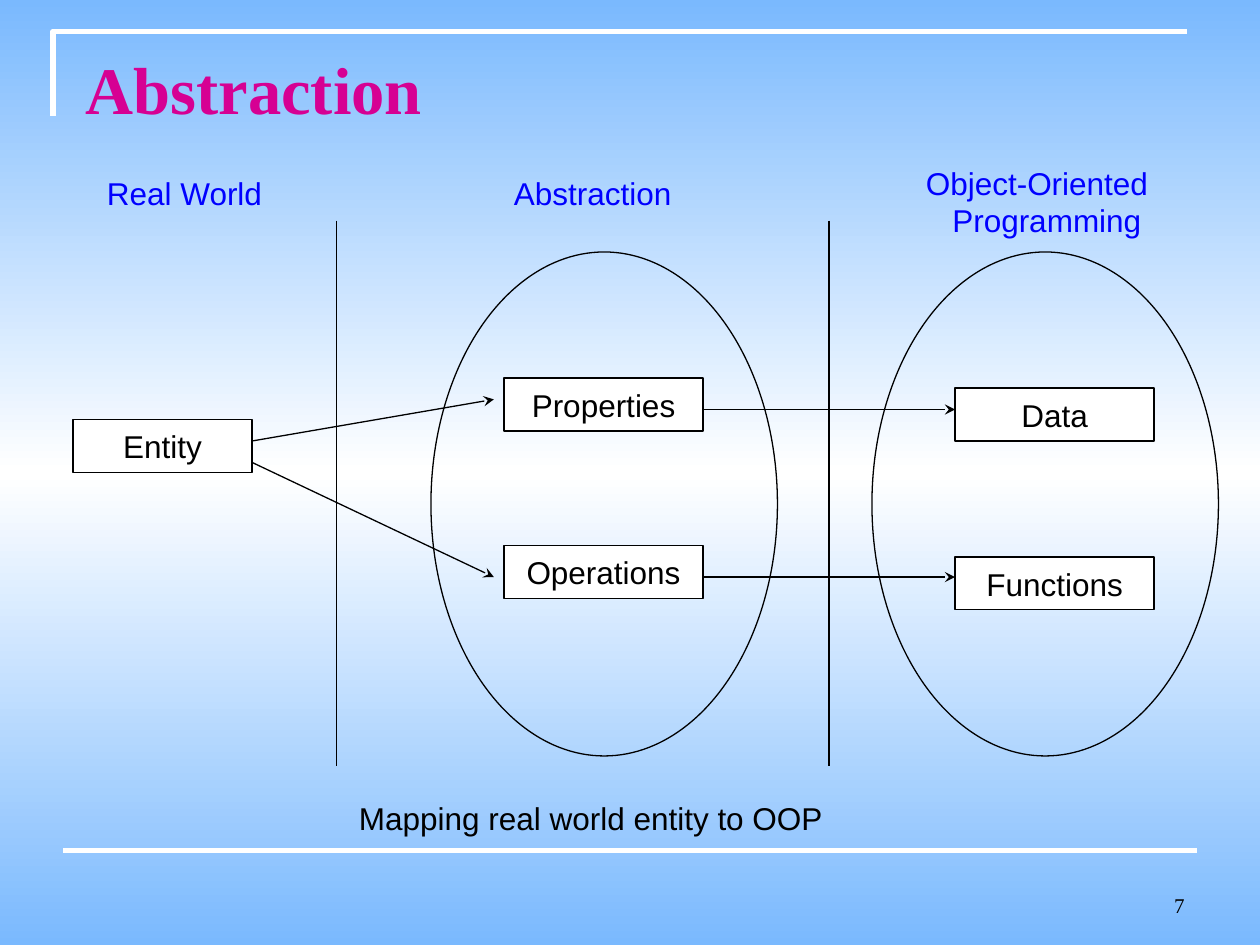
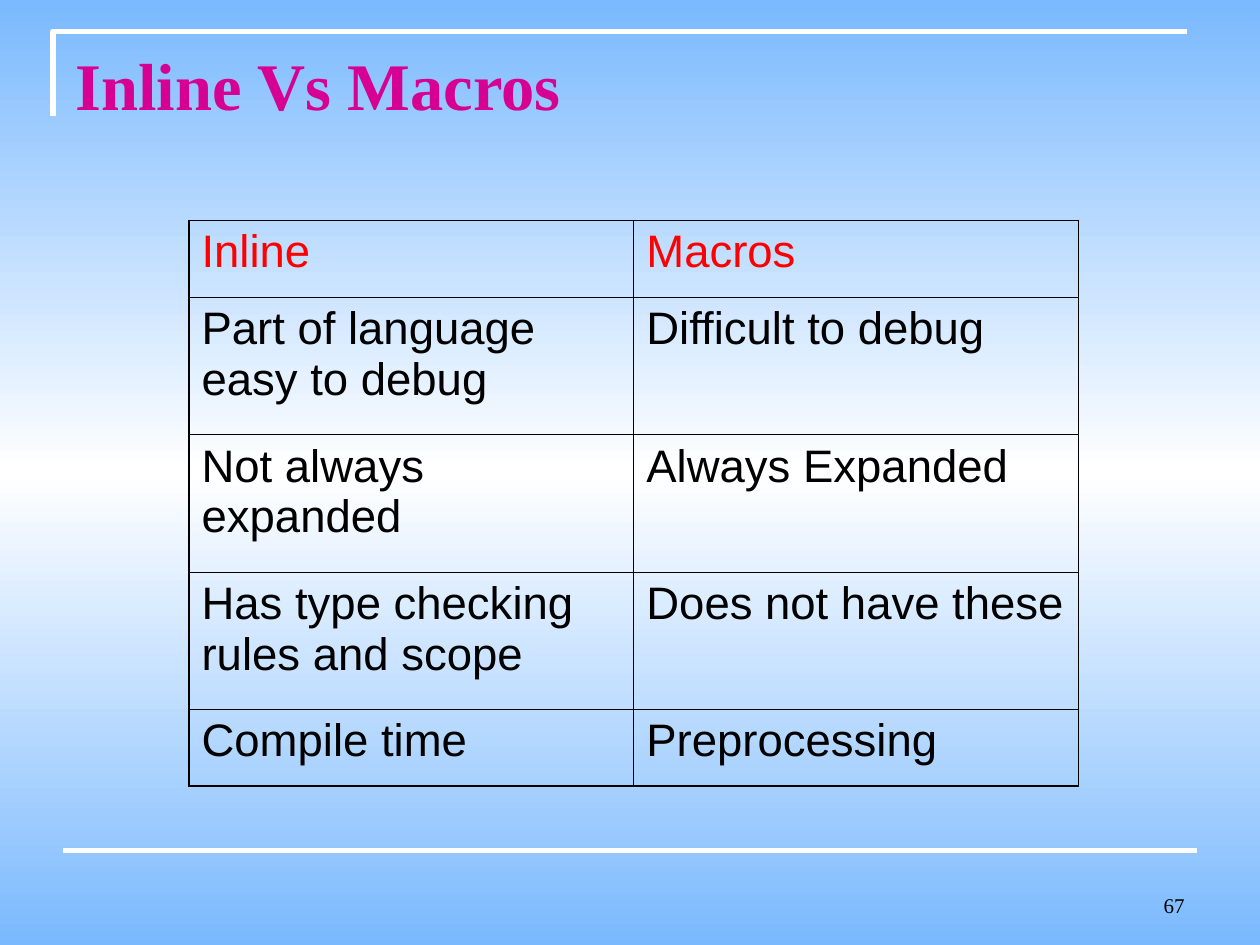
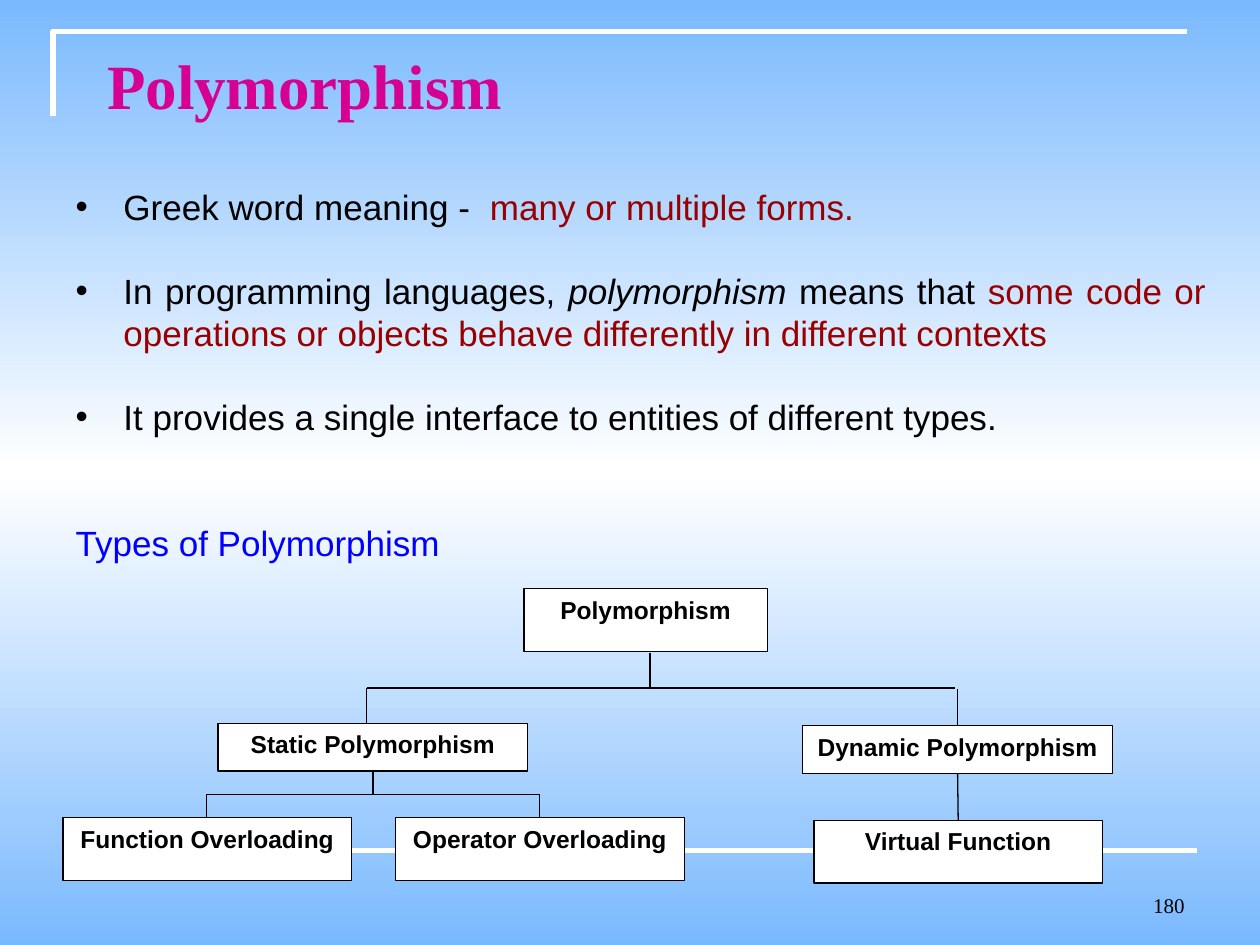
from copy import deepcopy
from lxml import etree
from pptx import Presentation
from pptx import util as u
from pptx.dml.color import RGBColor
from pptx.enum import shapes, text
from pptx.oxml.ns import qn

BLACK, WHITE, SKY = "000000", "FFFFFF", "7AB9FE"
PINK, BLUE, RED, WINE = "D60093", "0000FF", "FF0000", "990000"
SANS, SERIF = "Arial", "Times New Roman"
inch = u.Inches


def tint(color, code):
    color.rgb = RGBColor.from_string(code)


def write(par, words, size, code=BLACK, face=SANS, bold=False):
    run = par.add_run()
    run.text = words
    run.font.size = u.Pt(size)
    run.font.name = face
    run.font.bold = bold
    tint(run.font.color, code)
    return run


deck = Presentation()
deck.slide_width, deck.slide_height = inch(10), inch(7.5)
master = deck.slide_master

fill = master.background.fill
fill.gradient()
fill.gradient_angle = 90
stops = master.element.find(".//" + qn("a:gsLst"))
stops.insert(1, deepcopy(stops[0]))
for stop, place, code in zip(fill.gradient_stops, (0, 0.5, 1), (SKY, WHITE, SKY)):
    stop.position = place
    tint(stop.color, code)

TOP, MID = text.MSO_ANCHOR.TOP, text.MSO_ANCHOR.MIDDLE
heads = [
    (5, "Abstraction", "7", 38, (0.58, 0.33, 9, 0.67), TOP),
    (5, "Inline Vs Macros", "67", 38, (0.5, 0.3, 9, 1.25), TOP),
    (1, "Polymorphism", "180", 36, (0.75, 0.17, 8.92, 1), MID),
]
pages = []
for layout, name, number, size, area, anchor in heads:
    page = deck.slides.add_slide(deck.slide_layouts[layout])
    pages.append(page)
    title = page.shapes.title
    title.left, title.top, title.width, title.height = map(inch, area)
    frame = title.text_frame
    frame.auto_size = text.MSO_AUTO_SIZE.NONE
    frame.vertical_anchor = anchor
    par = frame.paragraphs[0]
    par.alignment = text.PP_ALIGN.LEFT
    write(par, name, size, PINK, SERIF, True)

    frame = page.shapes.add_textbox(*map(inch, (7.17, 6.83, 2.33, 0.5))).text_frame
    frame.word_wrap = True
    frame.vertical_anchor = text.MSO_ANCHOR.BOTTOM
    par = frame.paragraphs[0]
    par.alignment = text.PP_ALIGN.RIGHT
    write(par, number, 12, BLACK, SERIF)

first, second, third = pages

pen = first.shapes.build_freeform(inch(0.42), inch(0.92))
pen.add_line_segments([(inch(0.42), inch(0.25)), (inch(9.42), inch(0.25))], close=False)
corner = pen.convert_to_shape()
corner.shadow.inherit = False
corner.fill.background()
tint(corner.line.color, WHITE)
corner.line.width = u.Pt(3)

for x in (3.42, 6.92):
    oval = first.shapes.add_shape(shapes.MSO_SHAPE.OVAL, *map(inch, (x, 2, 2.75, 4)))
    oval.shadow.inherit = False
    oval.fill.background()
    tint(oval.line.color, BLACK)
    oval.line.width = u.Pt(0.75)

labels = [
    (0.75, 1.33, 1.5, ["Real World"], BLUE),
    (3.98, 1.33, 1.55, ["Abstraction"], BLUE),
    (7.25, 1.25, 2.1, ["Object-Oriented", "Programming"], BLUE),
    (2.75, 6.29, 4, ["Mapping real world entity to OOP"], BLACK),
]
for x, y, wide, rows, code in labels:
    area = x, y, wide, 0.1 + 0.3 * len(rows)
    frame = first.shapes.add_textbox(*map(inch, area)).text_frame
    frame.word_wrap = True
    for row, words in enumerate(rows):
        par = frame.add_paragraph() if row else frame.paragraphs[0]
        par.line_spacing = u.Pt(21.6)
        if row:
            par._p.get_or_add_pPr().set("marL", str(inch(0.21)))
        write(par, words, 18, code)

body = third.placeholders[1]
body.left, body.top, body.width, body.height = map(inch, (0, 1.42, 9.67, 3.2))
frame = body.text_frame
frame.auto_size = text.MSO_AUTO_SIZE.NONE
items = [
    (0, "•", [("Greek word meaning -  ", BLACK, False),
              ("many or multiple forms.", WINE, False)]),
    (24, "•", [("In programming languages, ", BLACK, False),
               ("polymorphism", BLACK, True),
               (" means that ", BLACK, False),
               ("some code or operations or objects behave differently "
                "in different contexts", WINE, False)]),
    (24, "•", [("It provides a single interface to entities of different types.",
                BLACK, False)]),
    (48, "", [("Types of Polymorphism", BLUE, False)]),
]
for row, (gap, mark, runs) in enumerate(items):
    par = frame.add_paragraph() if row else frame.paragraphs[0]
    par.alignment = text.PP_ALIGN.JUSTIFY
    par.line_spacing = u.Pt(24)
    par.space_before = u.Pt(gap)
    prop = par._p.get_or_add_pPr()
    prop.set("marL", str(inch(0.88)))
    prop.set("indent", str(inch(-0.38)))
    if mark:
        etree.SubElement(prop, qn("a:buFont"), typeface=SANS)
        etree.SubElement(prop, qn("a:buChar"), char=mark)
    else:
        etree.SubElement(prop, qn("a:buNone"))
    for words, code, slant in runs:
        write(par, words, 20, code).font.italic = slant

boxes = [
    (first, "Properties", 4, 3, 1.58, 0.42),
    (first, "Operations", 4, 4.33, 1.58, 0.42),
    (first, "Data", 7.58, 3.08, 1.58, 0.42),
    (first, "Functions", 7.58, 4.42, 1.58, 0.42),
    (first, "Entity", 0.58, 3.33, 1.42, 0.42),
    (third, "Polymorphism", 4.16, 4.67, 1.93, 0.5),
    (third, "Operator Overloading", 3.14, 6.49, 2.29, 0.5),
    (third, "Function Overloading", 0.5, 6.49, 2.29, 0.5),
    (third, "Static Polymorphism", 1.73, 5.74, 2.46, 0.38),
    (third, "Dynamic Polymorphism", 6.37, 5.76, 2.46, 0.38),
    (third, "Virtual Function", 6.46, 6.51, 2.29, 0.5),
]
nodes = {}
for page, name, *area in boxes:
    box = page.shapes.add_shape(shapes.MSO_SHAPE.RECTANGLE, *map(inch, area))
    box.shadow.inherit = False
    box.fill.solid()
    tint(box.fill.fore_color, WHITE)
    tint(box.line.color, BLACK)
    box.line.width = u.Pt(0.75)
    frame = box.text_frame
    frame.word_wrap = False
    frame.vertical_anchor = MID if page is first else TOP
    par = frame.paragraphs[0]
    par.alignment = text.PP_ALIGN.CENTER
    write(par, name, 18 if page is first else 14, bold=page is third)
    nodes[name] = box

static, dynamic = nodes["Static Polymorphism"], nodes["Dynamic Polymorphism"]
virtual = nodes["Virtual Function"]
lines = [
    (first, (0.5, 6.75, 9.5, 6.75), WHITE, 3, False, None, None),
    (first, (2.67, 1.75, 2.67, 6.08), BLACK, 0.75, False, None, None),
    (first, (6.58, 1.75, 6.58, 6.08), BLACK, 0.75, False, None, None),
    (first, (2, 3.5, 3.92, 3.17), BLACK, 0.75, True, None, None),
    (first, (2, 3.67, 3.92, 4.58), BLACK, 0.75, True, None, None),
    (first, (5.58, 3.25, 7.58, 3.25), BLACK, 0.75, True, None, None),
    (first, (5.58, 4.58, 7.58, 4.58), BLACK, 0.75, True, None, None),
    (third, (7.6, 6.14, 7.6, 6.51), BLACK, 0.75, False, dynamic, virtual),
    (third, (7.6, 5.47, 7.6, 5.76), BLACK, 0.75, False, None, dynamic),
    (third, (2.91, 5.46, 7.58, 5.46), BLACK, 0.75, False, None, None),
    (third, (2.91, 5.46, 2.91, 5.74), BLACK, 0.75, False, None, None),
    (third, (5.16, 5.18, 5.16, 5.46), BLACK, 0.75, False, None, None),
    (third, (2.96, 6.12, 1.64, 6.49), BLACK, 0.75, False,
     static, nodes["Function Overloading"]),
    (third, (2.96, 6.12, 4.28, 6.49), BLACK, 0.75, False,
     static, nodes["Operator Overloading"]),
]
links = []
for page, ends, code, weight, arrow, start, stop in lines:
    bent = start is static
    kind = shapes.MSO_CONNECTOR.ELBOW if bent else shapes.MSO_CONNECTOR.STRAIGHT
    link = page.shapes.add_connector(kind, *map(inch, ends))
    if start:
        link.begin_connect(start, 2)
    if stop:
        link.end_connect(stop, 0)
    if bent:
        x, y, right, low = ends
        wide, high = low - y, abs(right - x)
        link.left, link.top = inch((x + right - wide) / 2), inch((y + low - high) / 2)
        link.width, link.height = inch(wide), inch(high)
        link.rotation = 270 if right > x else 90
        link._element.spPr.find(qn("a:xfrm")).set("flipH", "1" if right > x else "0")
    tint(link.line.color, code)
    link.line.width = u.Pt(weight)
    prop = link._element.spPr
    if arrow:
        etree.SubElement(prop.find(qn("a:ln")), qn("a:tailEnd"), type="stealth")
    etree.SubElement(prop, qn("a:effectLst"))
    links.append(link)

for key, part in enumerate((corner, links[0])):
    part._element.find(".//" + qn("p:cNvPr")).set("id", str(101 + key))
    master.shapes._spTree.insert(2 + key, part._element)

cells = [
    ("Inline", "Macros"),
    ("Part of language easy to debug", "Difficult to debug"),
    ("Not always expanded", "Always Expanded"),
    ("Has type checking rules and scope", "Does not have these"),
    ("Compile time", "Preprocessing"),
]
grid = second.shapes.add_table(5, 2, *map(inch, (1.5, 1.75, 7.06, 4.49))).table
grid.first_row = grid.horz_banding = False
for col in grid.columns:
    col.width = inch(3.53)
for row, pair in enumerate(cells):
    grid.rows[row].height = inch(0.61 if row in (0, 4) else 1.09)
    for col, words in enumerate(pair):
        cell = grid.cell(row, col)
        prop = cell._tc.get_or_add_tcPr()
        outer = {"L": col == 0, "R": col == 1, "T": row == 0, "B": row == 4}
        for side, edge in outer.items():
            rule = etree.SubElement(prop, qn("a:ln" + side), w=str(u.Pt(1.08 if edge else 0.45)))
            paint = etree.SubElement(rule, qn("a:solidFill"))
            etree.SubElement(paint, qn("a:srgbClr"), val=BLACK)
        cell.fill.background()
        write(cell.text_frame.paragraphs[0], words, 26, BLACK if row else RED)

deck.save("out.pptx")
